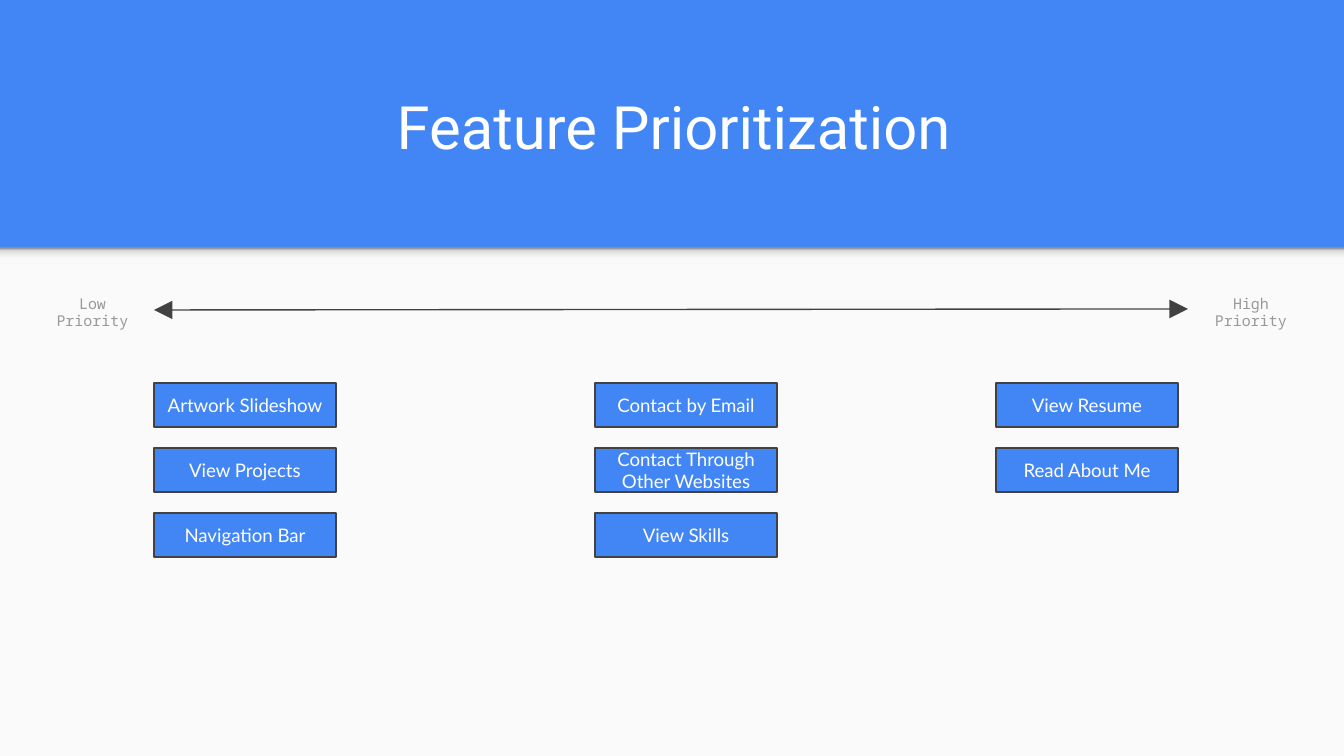
from lxml import etree
from pptx import Presentation
from pptx.dml.color import RGBColor
from pptx.enum.shapes import MSO_CONNECTOR, MSO_SHAPE
from pptx.enum.text import MSO_ANCHOR, PP_ALIGN
from pptx.oxml.ns import qn
from pptx.util import Pt

SCALE = 914400 / 134.4
RECT = MSO_SHAPE.RECTANGLE
LINE = MSO_CONNECTOR.STRAIGHT
CENTER = PP_ALIGN.CENTER
MIDDLE = MSO_ANCHOR.MIDDLE
BOTTOM = MSO_ANCHOR.BOTTOM

BLUE, DARK, PALE, GRAY, WHITE = "4285F4", "424242", "FAFAFA", "999999", "FFFFFF"
TITLE = {"name": "Roboto", "size": Pt(32)}
BOX = {"name": "Lato", "size": Pt(10)}
LABEL = {"name": "Noto Sans Mono", "size": Pt(8)}
SHADE = {0: "F9F9F9", 36: "F9F9F9", 80: "DEDEDE", 100: GRAY}
COLUMNS = {
    154: ["Artwork Slideshow", "View Projects", "Navigation Bar"],
    595: ["Contact by Email", "Contact Through Other Websites", "View Skills"],
    996: ["View Resume", "Read About Me"],
}
TOP, PITCH, WIDTH, HEIGHT = 383, 65, 182, 44


def px(*sizes):
    """Turn pixel lengths into EMU."""
    return [round(size * SCALE) for size in sizes]


def color(code):
    """Turn a hex string into a colour."""
    return RGBColor.from_string(code)


def write(shape, text, font, tint, anchor=MIDDLE):
    """Set centred text with even insets in a shape."""
    frame = shape.text_frame
    inset = px(13.44)[0]
    style = {"word_wrap": True, "vertical_anchor": anchor}
    style |= {f"margin_{side}": inset for side in ("left", "right", "top", "bottom")}
    for key, value in style.items():
        setattr(frame, key, value)
    para = frame.paragraphs[0]
    para.alignment = CENTER
    run = para.add_run()
    run.text = text
    for key, value in font.items():
        setattr(run.font, key, value)
    run.font.color.rgb = color(tint)


def add_text(slide, area, text, font, tint, anchor=MIDDLE):
    """Add a text box."""
    write(slide.shapes.add_textbox(*px(*area)), text, font, tint, anchor)


def add_rect(slide, area, fill):
    """Add a plain filled rectangle without an outline."""
    shape = slide.shapes.add_shape(RECT, *px(*area))
    shape.shadow.inherit = False
    shape.fill.solid()
    shape.fill.fore_color.rgb = color(fill)
    shape.line.fill.background()
    return shape


def add_shade(slide, area, stops):
    """Add a strip that fades downward from its last stop."""
    shape = add_rect(slide, area, PALE)
    shape.fill.gradient()
    shape.fill.gradient_angle = 90
    group = next(shape.element.iter(qn("a:gsLst")))
    group.clear()
    for place, code in stops.items():
        stop = etree.SubElement(group, qn("a:gs"), pos=str(place * 1000))
        etree.SubElement(stop, qn("a:srgbClr"), val=code)


def add_box(slide, area, text):
    """Add an outlined feature box."""
    shape = add_rect(slide, area, BLUE)
    shape.line.color.rgb = color(DARK)
    shape.line.width = Pt(0.75)
    write(shape, text, BOX, WHITE)


def add_arrow(slide, ends):
    """Add a line with a large arrowhead at both ends."""
    arrow = slide.shapes.add_connector(LINE, *px(*ends))
    arrow.line.color.rgb = color(DARK)
    arrow.line.width = Pt(0.75)
    props = arrow.element.spPr
    for tag in ("a:headEnd", "a:tailEnd"):
        etree.SubElement(props.find(qn("a:ln")), qn(tag), type="triangle", w="lg", len="lg")
    etree.SubElement(props, qn("a:effectLst"))


def main():
    """Build the slide and save it."""
    deck = Presentation()
    deck.slide_width, deck.slide_height = px(1344, 756)
    slide = deck.slides.add_slide(deck.slide_layouts[6])
    back = slide.background.fill
    back.solid()
    back.fore_color.rgb = color(BLUE)
    add_rect(slide, (0, 248, 1344, 508), PALE)
    add_shade(slide, (0, 248, 1344, 16), SHADE)
    add_text(slide, (70, 62, 1208, 113), "Feature Prioritization", TITLE, WHITE, BOTTOM)
    add_arrow(slide, (154, 310, 1188, 309))
    add_text(slide, (31, 288, 123, 48), "Low Priority", LABEL, GRAY)
    add_text(slide, (1188, 288, 126, 48), "High Priority", LABEL, GRAY)
    for left, names in COLUMNS.items():
        for row, name in enumerate(names):
            add_box(slide, (left, TOP + row * PITCH, WIDTH, HEIGHT), name)
    deck.save("out.pptx")


if __name__ == "__main__":
    main()
